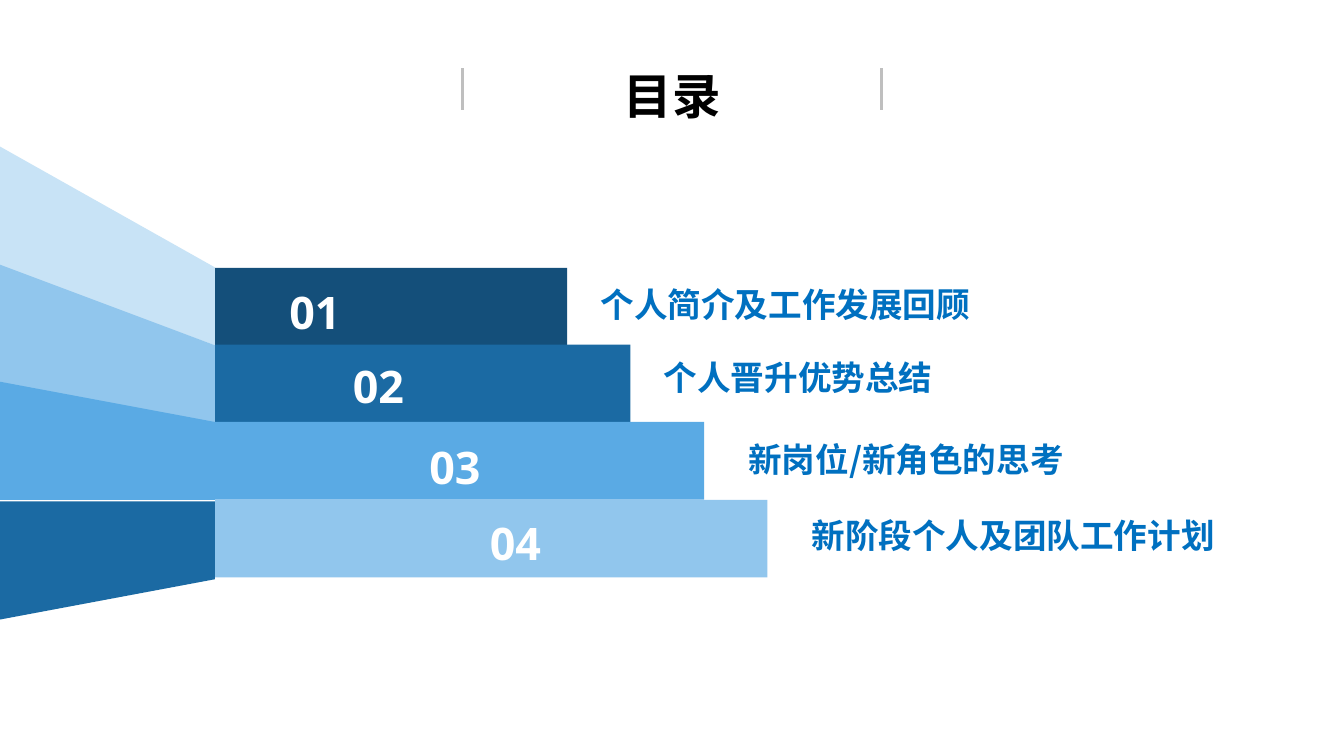
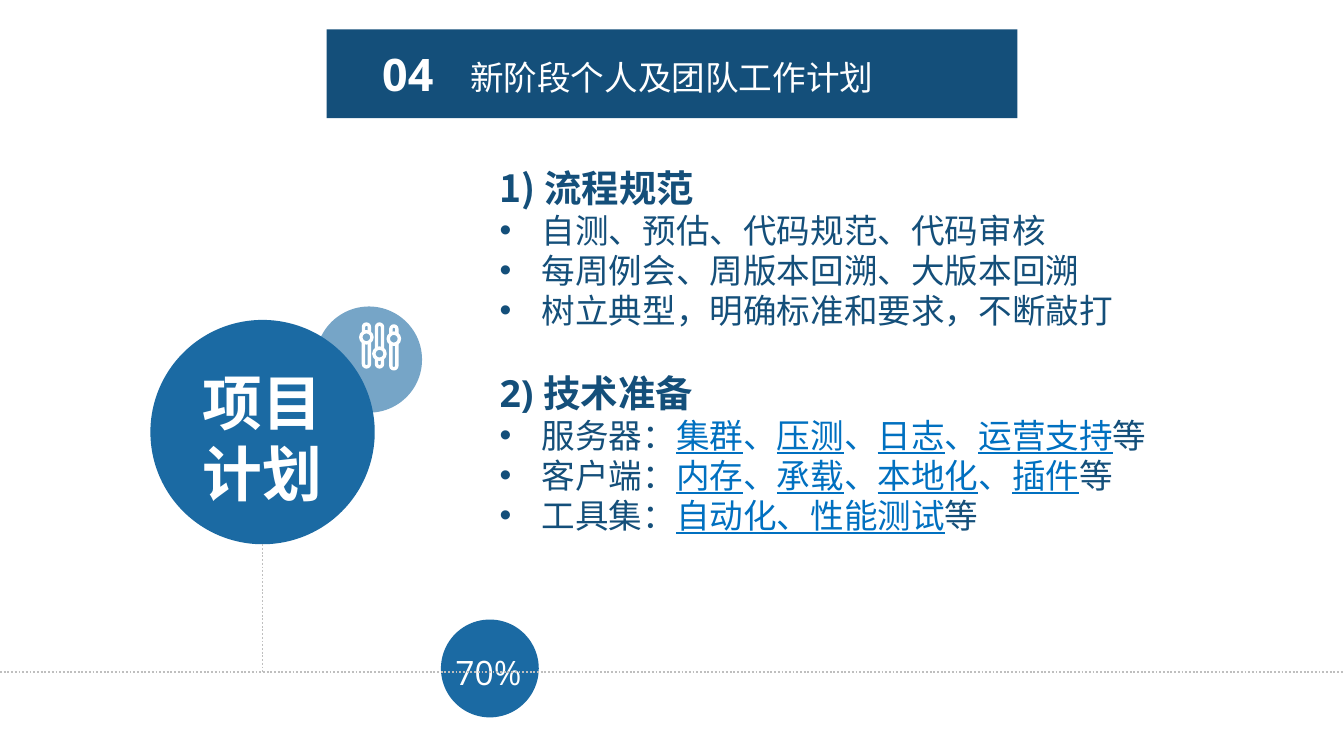
"""Build a contents slide and a project plan slide."""
from lxml.etree import SubElement
from pptx import Presentation
from pptx.dml.color import RGBColor
from pptx.enum.dml import MSO_LINE
from pptx.enum.shapes import MSO_CONNECTOR, MSO_SHAPE
from pptx.enum.text import MSO_ANCHOR, PP_ALIGN
from pptx.oxml.ns import qn
from pptx.util import Pt

COLORS = {
    "navy": "144F7A", "blue": "1B6AA3", "sky": "5AAAE4", "light": "91C6ED",
    "pale": "C8E3F6", "link": "0070C0", "disc": "76A6C8", "gray": "BFBFBF",
    "white": "FFFFFF", "black": "000000",
}
RGB = {name: RGBColor.from_string(value) for name, value in COLORS.items()}
CJK, LATIN = "Noto Sans CJK SC", "Open Sans"
PLAN = "新阶段个人及团队工作计划"


def add_box(s, kind, box, fill=None, line=None):
    """Add a preset shape, or a text box when kind is None."""
    box = [Pt(v) for v in box]
    if kind is None:
        sp = s.shapes.add_textbox(*box)
        sp.text_frame.word_wrap = True
        return sp
    sp = s.shapes.add_shape(kind, *box)
    sp.shadow.inherit = False
    if fill:
        sp.fill.solid()
        sp.fill.fore_color.rgb = RGB[fill]
    else:
        sp.fill.background()
    if line:
        sp.line.color.rgb = RGB[line]
        sp.line.width = Pt(1.8)
    else:
        sp.line.fill.background()
    return sp


def write(p, runs, size, color, bold=False, font=CJK, align=None, spacing=1.32):
    """Fill a paragraph with (text, overrides) runs."""
    p.alignment = align
    p.line_spacing = Pt(round(size * spacing, 1))
    for text, extra in runs:
        r = p.add_run()
        r.text = text
        style = {"size": Pt(size), "bold": bold, "name": font, "underline": False}
        for key, value in (style | extra).items():
            if key != "color":
                setattr(r.font, key, value)
        r.font.color.rgb = RGB[extra.get("color", color)]
        SubElement(r.font._element, qn("a:ea")).set("typeface", CJK)


prs = Presentation()
prs.slide_width, prs.slide_height = Pt(720), Pt(405)
contents, plan = [prs.slides.add_slide(prs.slide_layouts[6]) for _ in range(2)]

s = contents
wings = [
    ("pale", 78.5, 142.6, 185, 143.3),
    ("light", 141.8, 205.2, 226.8, 185),
    ("sky", 204.5, 267.8, 267.8, 226.1),
    ("blue", 268.6, 331.9, 310.3, 268.6),
]
for color, top, bottom, right_bottom, right_top in wings:
    fb = s.shapes.build_freeform(0, Pt(top))
    fb.add_line_segments([(0, Pt(bottom)), (Pt(115.2), Pt(right_bottom)), (Pt(115.2), Pt(right_top))])
    sp = fb.convert_to_shape()
    sp.shadow.inherit = False
    sp.fill.solid()
    sp.fill.fore_color.rgb = RGB[color]
    sp.line.fill.background()

tf = add_box(s, None, (67.4, 28.8, 585.6, 39)).text_frame
write(tf.paragraphs[0], [("目录", {})], 26, "black", True, align=PP_ALIGN.CENTER)

bars = [
    ("navy", 143.6, 188.6, 146, 146.2, 314.6, "个人简介及工作发展回顾"),
    ("blue", 184.6, 222.5, 180, 185.6, 348.5, "个人晋升优势总结"),
    ("sky", 226.1, 262.1, 221, 229.2, 393.8, "新岗位/新角色的思考"),
    ("light", 267.8, 295.9, 253.4, 270, 427.7, PLAN),
]
for i, (color, top, width, number_x, text_y, label_x, label) in enumerate(bars, 1):
    add_box(s, MSO_SHAPE.RECTANGLE, (115.2, top, width, 41.6), color)
    tf = add_box(s, None, (number_x, text_y, 45.4, 36)).text_frame
    write(tf.paragraphs[0], [(f"{i:02d}", {})], 24, "white", True, LATIN, PP_ALIGN.CENTER)
    tf = add_box(s, None, (label_x, text_y, 260, 29)).text_frame
    write(tf.paragraphs[0], [(label, {})], 18, "link", True)

s = plan
add_box(s, MSO_SHAPE.RECTANGLE, (175, 15.8, 370, 47.5), "navy")
tf = add_box(s, None, (174.2, 18.7, 88.6, 36)).text_frame
write(tf.paragraphs[0], [("04", {})], 24, "white", True, LATIN, PP_ALIGN.CENTER)
tf = add_box(s, None, (244.8, 24.5, 260, 29)).text_frame
write(tf.paragraphs[0], [(PLAN, {})], 18, "white")

disc = add_box(s, MSO_SHAPE.OVAL, (169.2, 164.2, 56.9, 56.9), "blue")
color = disc.fill._xPr.find(qn("a:solidFill"))[0]
SubElement(color, qn("a:alpha")).set("val", "60000")
sp = add_box(s, MSO_SHAPE.OVAL, (80.6, 171.4, 120.2, 120.2), "blue")
tf = sp.text_frame
tf.vertical_anchor = MSO_ANCHOR.MIDDLE
tf.margin_top = Pt(9)
for p, word in zip((tf.paragraphs[0], tf.add_paragraph()), ("项目", "计划")):
    write(p, [(word, {})], 32, "white", True, "Calibri", PP_ALIGN.CENTER, 1.2)

for x, top, knob in ((196.3, 173.6, 180.7), (203.3, 173.6, 189.5), (211, 174.6, 181.5)):
    sp = add_box(s, MSO_SHAPE.ROUNDED_RECTANGLE, (x - 1.6, top, 3.2, 23), None, "white")
    sp.adjustments[0] = 0.5
    add_box(s, MSO_SHAPE.OVAL, (x - 3, knob - 3, 6, 6), "disc", "white")

add_box(s, MSO_SHAPE.OVAL, (236.2, 331.9, 52.4, 52.4), "blue")
tf = add_box(s, None, (235.4, 343.4, 51.1, 29)).text_frame
tf.word_wrap = False
write(tf.paragraphs[0], [("70%", {})], 18, "white", font=LATIN, align=PP_ALIGN.RIGHT)

lines = [
    (contents, (247.7, 36.7, 247.7, 59), 1.5, None),
    (contents, (472.3, 36.7, 472.3, 59), 1.5, None),
    (plan, (140.6, 291.6, 140.6, 360), 1, MSO_LINE.ROUND_DOT),
    (plan, (0, 360, 720, 360), 1, MSO_LINE.ROUND_DOT),
]
for s, ends, width, dash in lines:
    ln = s.shapes.add_connector(MSO_CONNECTOR.STRAIGHT, *[Pt(v) for v in ends])
    ln.line.color.rgb = RGB["gray"]
    ln.line.width = Pt(width)
    if dash:
        ln.line.dash_style = dash
    SubElement(ln._element.spPr, qn("a:effectLst"))

topics = [
    ("number", " 流程规范", [
        ("自测、预估、代码规范、代码审核", [], ""),
        ("每周例会、周版本回溯、大版本回溯", [], ""),
        ("树立典型，明确标准和要求，不断敲打", [], ""),
    ]),
    (None, "2) 技术准备", [
        ("服务器：", ["集群", "压测", "日志", "运营支持"], "等"),
        ("客户端：", ["内存", "承载", "本地化", "插件"], "等"),
        ("工具集：", ["自动化、性能测试"], "等"),
    ]),
]
rows = []
for marker, heading, items in topics:
    rows.append((marker, 20, [(heading, {})]))
    for lead, links, tail in items:
        runs = [(lead, {})]
        for i, link in enumerate(links):
            if i:
                runs.append(("、", {"color": "link"}))
            runs.append((link, {"color": "link", "underline": True}))
        if tail:
            runs.append((tail, {}))
        rows.append(("bullet", 18, runs))

tf = add_box(plan, None, (260.6, 82.8, 422.6, 252)).text_frame
for i, (marker, size, runs) in enumerate(rows):
    p = tf.add_paragraph() if i else tf.paragraphs[0]
    heading = size == 20
    write(p, runs, size, "navy", heading, LATIN, spacing=1.32 if heading else 1.19)
    if heading and i:
        p.space_before = Pt(19)
    if marker:
        pPr = p._p.get_or_add_pPr()
        indent = Pt(18 if heading else 22.5)
        pPr.set("marL", str(indent))
        pPr.set("indent", str(-indent))
        if marker == "number":
            SubElement(pPr, qn("a:buFont")).set("typeface", LATIN)
            SubElement(pPr, qn("a:buAutoNum")).set("type", "arabicParenR")
        else:
            SubElement(pPr, qn("a:buFont")).set("typeface", "Arial")
            SubElement(pPr, qn("a:buChar")).set("char", "•")

prs.save("out.pptx")
